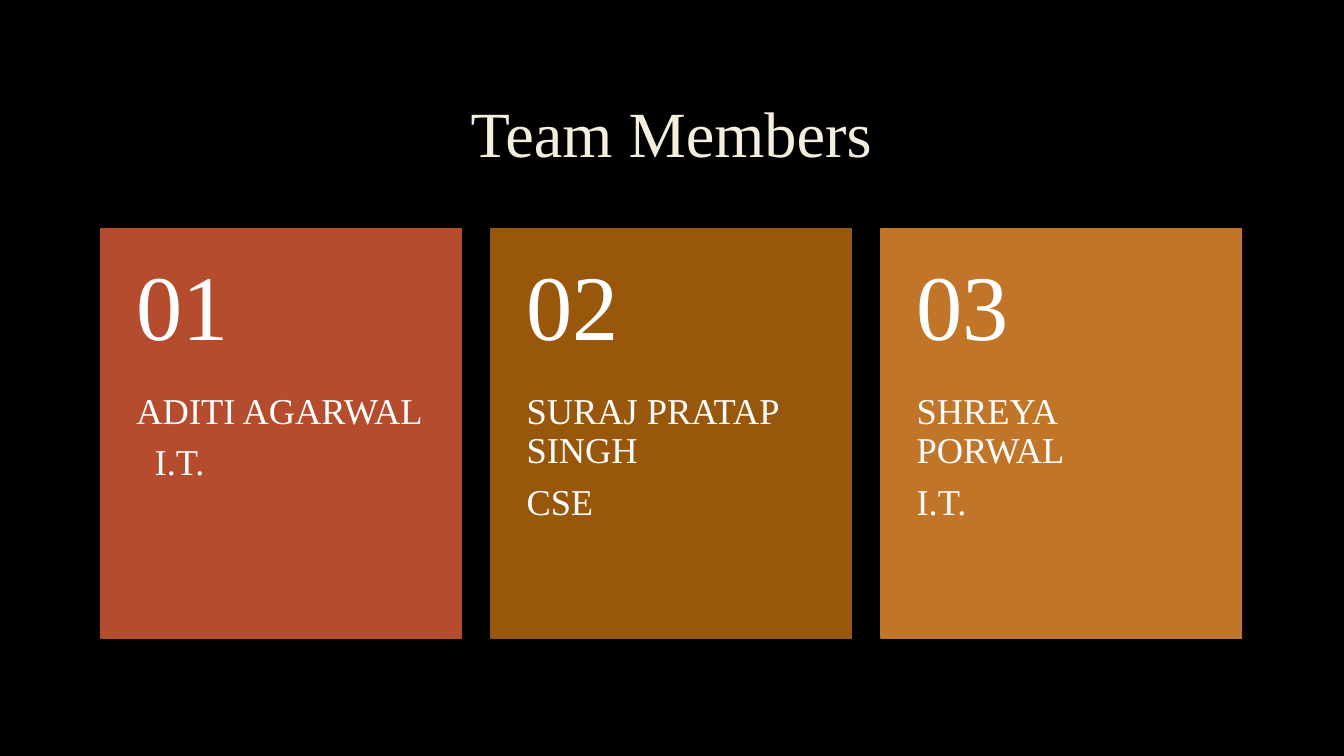
import pptx
import pptx.dml.color
import pptx.enum.shapes
import pptx.enum.text
import pptx.util

Cm = pptx.util.Cm
Pt = pptx.util.Pt
RGBColor = pptx.dml.color.RGBColor
PP_ALIGN = pptx.enum.text.PP_ALIGN
MSO_ANCHOR = pptx.enum.text.MSO_ANCHOR

BLACK = RGBColor(0x00, 0x00, 0x00)
WHITE = RGBColor(0xFF, 0xFF, 0xFF)
CREAM = RGBColor(0xF4, 0xEE, 0xDC)
RED = RGBColor(0xB5, 0x4C, 0x2D)
BROWN = RGBColor(0x99, 0x57, 0x0C)
ORANGE = RGBColor(0xC1, 0x75, 0x29)

FONT = "Times New Roman"
MARGIN = Cm(2.54)
CARD_WIDTH = Cm(9.09)
CARD_PITCH = Cm(9.83)
NUMBER_SHARE = 0.4

MEMBERS = [
    ("ADITI AGARWAL", "I.T.", Cm(0.46), RED),
    ("SURAJ PRATAP SINGH", "CSE", 0, BROWN),
    ("SHREYA PORWAL", "I.T.", 0, ORANGE),
]


def add_text(shapes, box, lines, size, color, insets, anchor, align=PP_ALIGN.LEFT):
    tf = shapes.add_textbox(*box).text_frame
    tf.word_wrap = True
    tf.vertical_anchor = anchor
    tf.margin_left, tf.margin_top, tf.margin_right, tf.margin_bottom = insets
    tf.text = "\n".join(lines)
    for p in tf.paragraphs:
        p.alignment = align
        p.line_spacing = 0.9
        p.space_after = Pt(round(size * 0.35))
        p.font.name = FONT
        p.font.size = Pt(size)
        p.font.color.rgb = color
    return tf


def add_title(s, box, text):
    insets = (Cm(0.25), Cm(0.13), Cm(0.25), Cm(0.13))
    tf = add_text(s.shapes, box, [text], 46, CREAM, insets,
                  MSO_ANCHOR.MIDDLE, PP_ALIGN.CENTER)
    tf.paragraphs[0].space_after = Pt(0)


def add_card(s, box, number, name, branch, indent, color):
    left, top, width, height = box
    shapes = s.shapes.add_group_shape().shapes
    sp = shapes.add_shape(pptx.enum.shapes.MSO_SHAPE.RECTANGLE, *box)
    sp.shadow.inherit = False
    sp.fill.solid()
    sp.fill.fore_color.rgb = color
    sp.line.color.rgb = color
    sp.line.width = Pt(1.25)

    number_height = int(height * NUMBER_SHARE)
    side = Cm(0.9)
    tf = add_text(shapes, (left, top + number_height, width, height - number_height),
                  [name, branch], 26, WHITE, (side, 0, side, side), MSO_ANCHOR.TOP)
    if indent:
        tf.paragraphs[1]._p.get_or_add_pPr().set("marL", str(int(indent)))
    add_text(shapes, (left, top, width, number_height), [f"{number:02d}"], 66, WHITE,
             (side, Cm(0.45), side, Cm(0.45)), MSO_ANCHOR.MIDDLE)


def add_team_slide(prs):
    s = prs.slides.add_slide(prs.slide_layouts[6])
    s.background.fill.solid()
    s.background.fill.fore_color.rgb = BLACK
    add_title(s, (MARGIN, Cm(1.7), Cm(28.75), Cm(3.5)), "Team Members")
    for i, member in enumerate(MEMBERS):
        box = (MARGIN + i * CARD_PITCH, Cm(5.77), CARD_WIDTH, Cm(10.31))
        add_card(s, box, i + 1, *member)


def main():
    prs = pptx.Presentation()
    prs.slide_width = Cm(33.87)
    prs.slide_height = Cm(19.05)
    add_team_slide(prs)
    prs.save("out.pptx")


if __name__ == "__main__":
    main()
